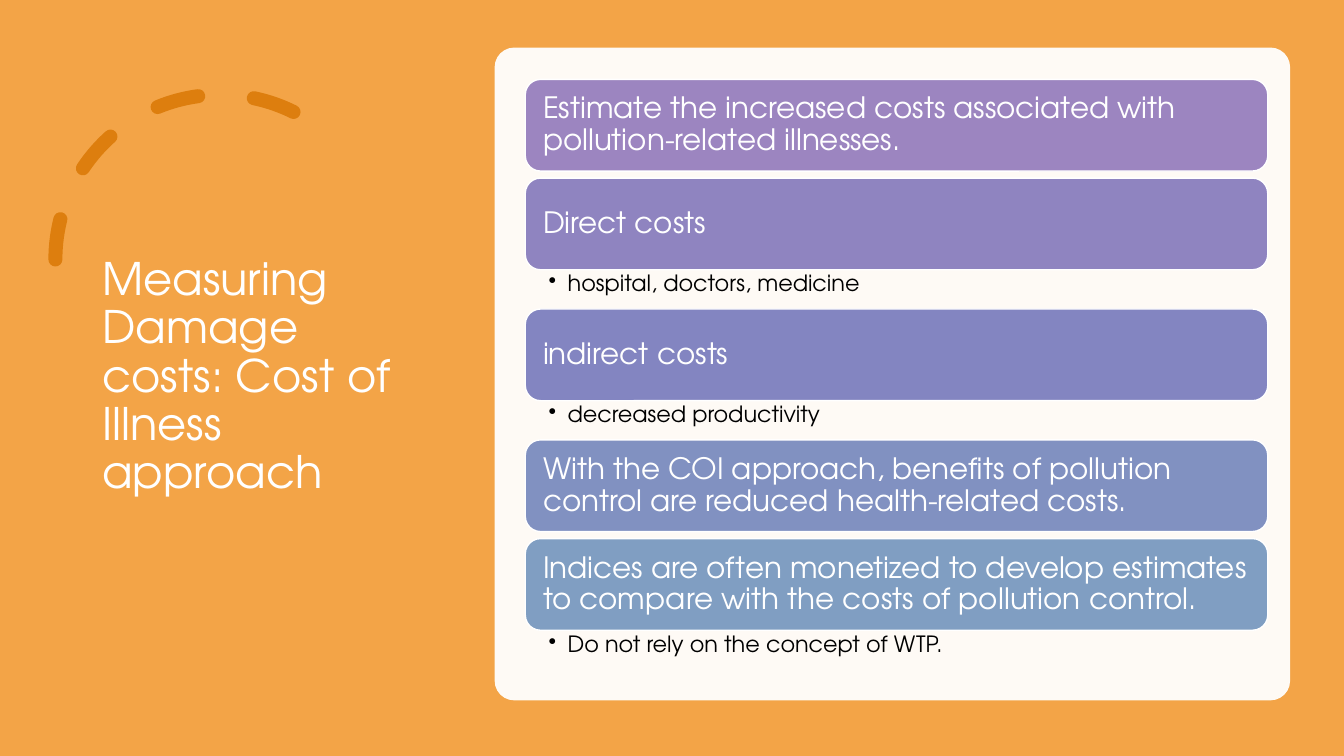
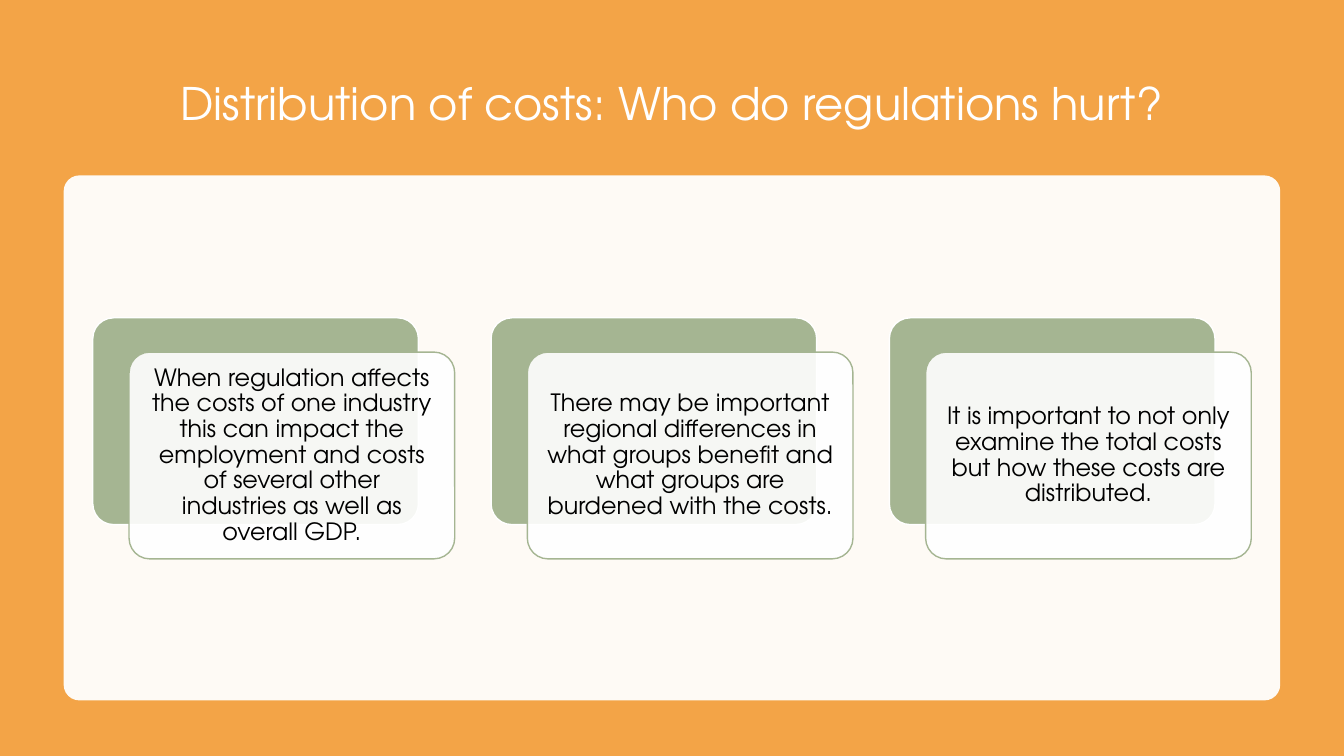
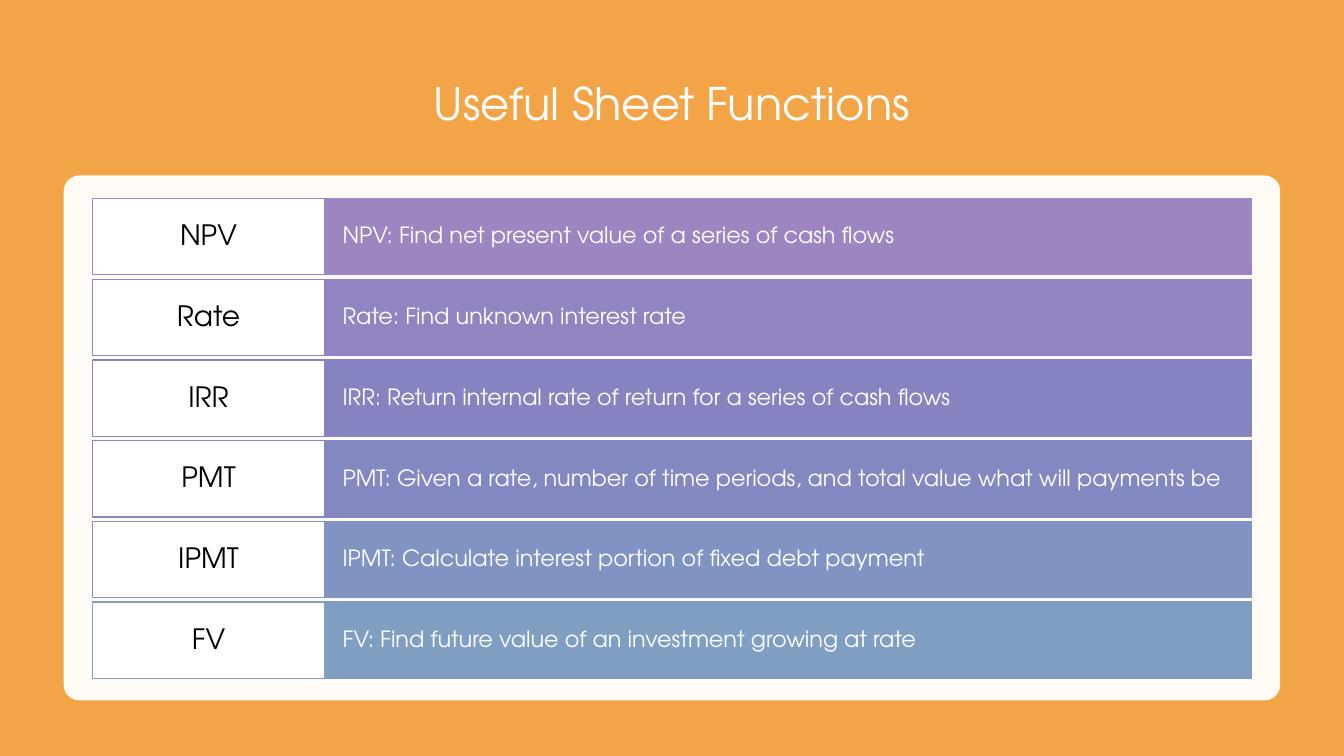
from dataclasses import dataclass

from lxml.etree import SubElement
from pptx import Presentation
from pptx.dml.color import RGBColor
from pptx.enum.dml import MSO_LINE
from pptx.enum.shapes import MSO_SHAPE
from pptx.enum.text import MSO_ANCHOR, PP_ALIGN
from pptx.oxml.ns import qn
from pptx.util import Pt


@dataclass(frozen=True)
class Theme:
    font: str = "TeX Gyre Adventor"
    background: str = "F3A447"
    white: str = "FFFFFF"
    black: str = "000000"
    dash: str = "DD7E0E"
    card: str = "A5B592"
    step_ramp: tuple = ("9C85C0", "8F84C0", "8385C1", "8191C1", "809EC2")
    row_ramp: tuple = ("9C85C0", "9184C0", "8683C1", "8289C1", "8193C2", "809EC2")
    title_size: int = 32
    step_size: int = 21
    label_size: int = 20
    card_size: int = 17
    detail_size: int = 16
    line_spacing: float = 0.9


theme = Theme()


def add_box(slide, preset, box, fill, line=None, opacity=100, corner=None):
    """Add a filled shape; box is left, top, width and height in points."""
    shape = slide.shapes.add_shape(preset, *map(Pt, box))
    shape.shadow.inherit = False
    shape.fill.solid()
    shape.fill.fore_color.rgb = RGBColor.from_string(fill)
    if opacity < 100:
        colour = shape.element.spPr.find(qn("a:solidFill"))[0]
        SubElement(colour, qn("a:alpha"), val=str(opacity * 1000))
    if line:
        shape.line.color.rgb = RGBColor.from_string(line)
        shape.line.width = Pt(1)
    else:
        shape.line.fill.background()
    if corner is not None:
        shape.adjustments[0] = corner
    return shape


def write_text(shape, text, size, colour, align=PP_ALIGN.LEFT,
               anchor=MSO_ANCHOR.MIDDLE, insets=(7.2, 3.6), bullet_indent=0):
    """Fill a shape with one paragraph; insets are horizontal and vertical."""
    frame = shape.text_frame
    frame.word_wrap = True
    frame.vertical_anchor = anchor
    frame.margin_left = frame.margin_right = Pt(insets[0])
    frame.margin_top = frame.margin_bottom = Pt(insets[1])
    paragraph = frame.paragraphs[0]
    paragraph.alignment = align
    paragraph.line_spacing = theme.line_spacing
    if bullet_indent:
        properties = paragraph._p.get_or_add_pPr()
        properties.set("marL", str(Pt(bullet_indent)))
        properties.set("indent", str(-Pt(bullet_indent)))
        SubElement(properties, qn("a:buChar"), char="•")
    run = paragraph.add_run()
    run.text = text
    run.font.name = theme.font
    run.font.size = Pt(size)
    run.font.color.rgb = RGBColor.from_string(colour)


prs = Presentation()
prs.slide_width, prs.slide_height = Pt(960), Pt(540)
background = prs.slide_master.background.fill
background.solid()
background.fore_color.rgb = RGBColor.from_string(theme.background)

# Title and white panel of every slide
wide_title, wide_panel = (66, 36, 828, 79.2), (45.5, 125.3, 869, 375)
frames = (
    ("Measuring Damage costs: Cost of Illness approach",
     (66, 50.4, 232.6, 438.5), PP_ALIGN.LEFT, (353.3, 34, 568.2, 466.3)),
    ("Distribution of costs: Who do regulations hurt?",
     wide_title, PP_ALIGN.CENTER, wide_panel),
    ("Useful Sheet Functions", wide_title, PP_ALIGN.CENTER, wide_panel),
)
slides = []
for title, title_box, title_align, panel_box in frames:
    slide = prs.slides.add_slide(prs.slide_layouts[6])
    write_text(slide.shapes.add_textbox(*map(Pt, title_box)), title,
               theme.title_size, theme.white, title_align)
    add_box(slide, MSO_SHAPE.ROUNDED_RECTANGLE, panel_box, theme.white,
            opacity=95, corner=0.03)
    slides.append(slide)
illness_slide, distribution_slide, functions_slide = slides

# Cost of illness: dashed arc, then bars with an optional detail below
dashed_arc = illness_slide.shapes.add_shape(
    MSO_SHAPE.ARC, Pt(39.6), Pt(67.7), Pt(235.4), Pt(235.4))
dashed_arc.shadow.inherit = False
dashed_arc.fill.background()
dashed_arc.adjustments[0], dashed_arc.adjustments[1] = 146.13, 0
dashed_arc.line.color.rgb = RGBColor.from_string(theme.dash)
dashed_arc.line.width = Pt(10)
dashed_arc.line.dash_style = MSO_LINE.DASH
dashed_arc.element.spPr.find(qn("a:xfrm")).set("flipH", "1")
dashed_arc.element.spPr.find(qn("a:ln")).set("cap", "rnd")

steps = (
    ("Estimate the increased costs associated with pollution-related illnesses.", None),
    ("Direct costs", "hospital, doctors, medicine"),
    ("indirect costs", "decreased productivity"),
    ("With the COI approach, benefits of pollution control are reduced "
     "health-related costs.", None),
    ("Indices are often monetized to develop estimates to compare with the "
     "costs of pollution control.", "Do not rely on the concept of WTP."),
)
step_left, step_top, step_width, step_height = 375.2, 56.7, 530.4, 65.5
detail_height, step_gap = 28, 5
for (step, detail), colour in zip(steps, theme.step_ramp):
    bar = add_box(illness_slide, MSO_SHAPE.ROUNDED_RECTANGLE,
                  (step_left, step_top, step_width, step_height), colour, theme.white)
    write_text(bar, step, theme.step_size, theme.white, insets=(9.5, 9.5))
    step_top += step_height
    if detail:
        detail_area = illness_slide.shapes.add_textbox(
            *map(Pt, (step_left, step_top, step_width, detail_height)))
        write_text(detail_area, detail, theme.detail_size, theme.black,
                   anchor=MSO_ANCHOR.TOP, insets=(16.6, 2), bullet_indent=13.7)
        step_top += detail_height
    else:
        step_top += step_gap

# Distribution of costs: three cards, each a sheet over a green backing
effects = (
    "When regulation affects the costs of one industry this can impact the "
    "employment and costs of several other industries as well as overall GDP.",
    "There may be important regional differences in what groups benefit and "
    "what groups are burdened with the costs.",
    "It is important to not only examine the total costs but how these costs "
    "are distributed.",
)
card_left, card_top, card_width, card_height = 66.3, 227, 232.6, 147.7
card_pitch, sheet_right, sheet_down = 284.5, 25.9, 24.5
for index, effect in enumerate(effects):
    left = card_left + index * card_pitch
    add_box(distribution_slide, MSO_SHAPE.ROUNDED_RECTANGLE,
            (left, card_top, card_width, card_height),
            theme.card, theme.white, corner=0.1)
    sheet = add_box(distribution_slide, MSO_SHAPE.ROUNDED_RECTANGLE,
                    (left + sheet_right, card_top + sheet_down, card_width, card_height),
                    theme.white, theme.card, opacity=90, corner=0.1)
    write_text(sheet, effect, theme.card_size, theme.black, PP_ALIGN.CENTER,
               insets=(9.4, 9.4))

# Functions: a white name cell beside a coloured description in each row
functions = (
    ("NPV", "Find net present value of a series of cash flows"),
    ("Rate", "Find unknown interest rate"),
    ("IRR", "Return internal rate of return for a series of cash flows"),
    ("PMT", "Given a rate, number of time periods, and total value what will payments be"),
    ("IPMT", "Calculate interest portion of fixed debt payment"),
    ("FV", "Find future value of an investment growing at rate"),
)
name_left, name_width, description_width = 66.2, 165.6, 662.4
row_top, row_height, row_pitch = 141.8, 54.5, 57.65
for index, ((name, purpose), colour) in enumerate(zip(functions, theme.row_ramp)):
    top = row_top + index * row_pitch
    description = add_box(functions_slide, MSO_SHAPE.RECTANGLE,
                          (name_left + name_width, top, description_width, row_height),
                          colour, colour)
    write_text(description, f"{name}: {purpose}", theme.detail_size, theme.white,
               insets=(13, 13.7))
    name_cell = add_box(functions_slide, MSO_SHAPE.RECTANGLE,
                        (name_left, top, name_width, row_height), theme.white, colour)
    write_text(name_cell, name, theme.label_size, theme.black, PP_ALIGN.CENTER,
               insets=(8.6, 5))

prs.save("out.pptx")
